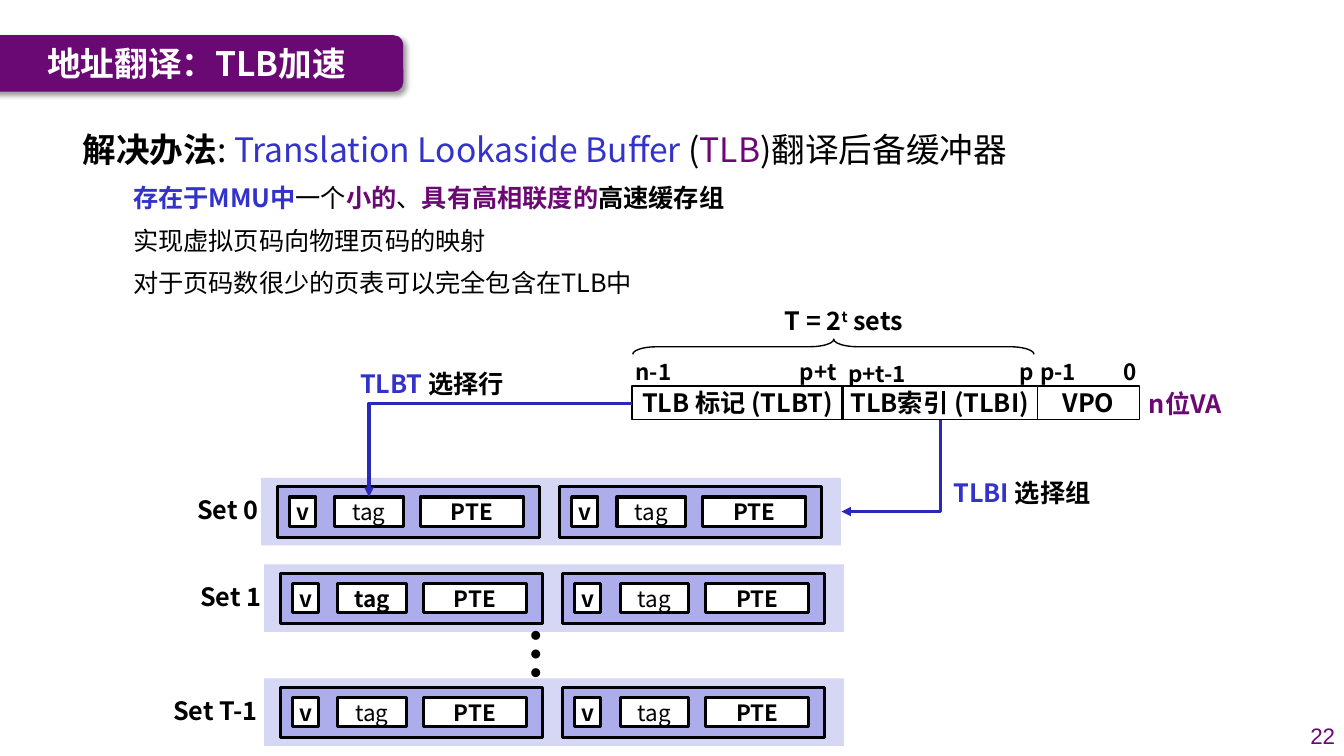
"""Build the slide on address translation with a TLB."""
from lxml.etree import SubElement
from pptx import Presentation
from pptx.dml.color import RGBColor
from pptx.enum.shapes import MSO_CONNECTOR, MSO_SHAPE
from pptx.enum.text import MSO_ANCHOR, MSO_AUTO_SIZE, PP_ALIGN
from pptx.oxml.ns import qn
from pptx.util import Inches, Pt

FONT = "Noto Sans CJK SC"
BLACK, WHITE, BLUE, PURPLE = "000000", "FFFFFF", "3333CC", "6B0874"


def write(para, size, spans, font=FONT):
    """Add runs given as (text, colour, bold) to a paragraph."""
    for text, colour, bold in spans:
        span = para.add_run()
        span.text = text
        span.font.size = Pt(size)
        span.font.bold = bold
        span.font.name = font
        span.font.color.rgb = RGBColor.from_string(colour)
        SubElement(span.font._element, qn("a:ea"), typeface=font)


def add_box(place, spans=(), size=18, fill=None, line=None, kind=MSO_SHAPE.RECTANGLE,
            wrap=False, anchor=MSO_ANCHOR.MIDDLE):
    """Add a shape with centred text; a plain label has neither fill nor line."""
    place = [Inches(length) for length in place]
    if fill or line:
        box = page.shapes.add_shape(kind, *place)
        box.shadow.inherit = False
        box.fill.background()
        box.line.fill.background()
    else:
        box = page.shapes.add_textbox(*place)
    if fill:
        box.fill.solid()
        box.fill.fore_color.rgb = RGBColor.from_string(fill)
    if line:
        box.line.color.rgb = RGBColor.from_string(BLACK)
        box.line.width = Pt(line)
    if spans:
        box.text_frame.word_wrap = wrap
        box.text_frame.vertical_anchor = anchor
        box.text_frame.paragraphs[0].alignment = PP_ALIGN.CENTER
        write(box.text_frame.paragraphs[0], size, spans)
    return box


deck = Presentation()
deck.slide_width, deck.slide_height = Inches(13.33), Inches(7.5)
page = deck.slides.add_slide(deck.slide_layouts[1])

title = page.shapes.title
title.left, title.top, title.width, title.height = [Inches(n) for n in (0.37, 0.35, 3.57, 0.55)]
title.text_frame.auto_size = MSO_AUTO_SIZE.NONE
title.text_frame.vertical_anchor = MSO_ANCHOR.MIDDLE
title.text_frame.paragraphs[0].alignment = PP_ALIGN.LEFT
write(title.text_frame.paragraphs[0], 24, [("地址翻译：TLB加速", WHITE, True)])

banner = add_box((-0.2, 0.35, 4.2, 0.56), fill="6A0874", kind=MSO_SHAPE.ROUNDED_RECTANGLE)
effects = banner.element.spPr.find(qn("a:effectLst"))
shadow = SubElement(effects, qn("a:outerShdw"), blurRad=str(Pt(4)), dist=str(Pt(3)),
                    dir="2700000", algn="tl", rotWithShape="0")
shade = SubElement(shadow, qn("a:srgbClr"), val=BLACK)
SubElement(shade, qn("a:alpha"), val="40000")
title.element.addprevious(banner.element)

body = page.placeholders[1]
body.left, body.top, body.width, body.height = [Inches(n) for n in (0.72, 1.15, 11.77, 2.09)]
body.text_frame.auto_size = MSO_AUTO_SIZE.NONE
points = [
    [("解决办法", BLACK, True), (": ", BLACK, False),
     ("Translation Lookaside Buffer ", BLUE, False), ("(", BLACK, False),
     ("TLB", PURPLE, False), (")翻译后备缓冲器", BLACK, False)],
    [("存在于MMU中", BLUE, True), ("一个", BLACK, False), ("小的", PURPLE, True),
     ("、", BLACK, False), ("具有高相联度的", PURPLE, True), ("高速缓存组", BLACK, True)],
    [("实现虚拟页码向物理页码的映射", BLACK, False)],
    [("对于页码数很少的页表可以完全包含在TLB中", BLACK, False)],
]
for level, spans in enumerate(points):
    para = body.text_frame.add_paragraph() if level else body.text_frame.paragraphs[0]
    properties = para._p.get_or_add_pPr()
    properties.set("marL", str(Inches(0.5 if level else 0)))
    properties.set("indent", "0")
    SubElement(properties, qn("a:buNone"))
    para.level = 1 if level else 0
    para.line_spacing = 1.2
    para.space_before = Pt(4.7 if level else 0)
    write(para, 18 if level else 24, spans)

fields = [(6.27, 2.09, "TLB 标记 (TLBT)", WHITE), (8.35, 1.94, "TLB索引 (TLBI)", None),
          (10.29, 1.01, "VPO", None)]
for left, width, name, fill in fields:
    add_box((left, 3.83, width, 0.33), [(name, BLACK, True)], fill=fill, line=1)

bits = [(6.19, 3.5, 0.58, "n-1"), (7.81, 3.5, 0.61, "p+t"), (8.28, 3.52, 0.84, "p+t-1"),
        (10.01, 3.5, 0.35, "p"), (10.2, 3.5, 0.59, "p-1"), (11.04, 3.5, 0.34, "0")]
for left, top, width, name in bits:
    add_box((left, top, width, 0.37), [(name, BLACK, True)], 16)

brace = add_box((8.19, 1.45, 0.15, 3.98), line=1, kind=MSO_SHAPE.LEFT_BRACE)
brace.rotation = 90
brace.adjustments[0], brace.adjustments[1] = 1.595, 0.499

sets = [("Set 0", 2.59, 4.74, 1.84, 0.84, False), ("Set 1", 2.62, 5.6, 1.87, 0.84, True),
        ("Set T-1", 2.62, 6.73, 1.58, 1.11, False)]
for name, left, top, label_left, label_width, bold_tag in sets:
    add_box((left, top, 5.75, 0.67), fill="D6D6F5")
    for way in range(2):
        start = left + 0.16 + 2.8 * way
        add_box((start, top + 0.09, 2.6, 0.5), fill="ADADEB", line=2.25)
        cells = [("v", 0.12, 0.26, True), ("tag", 0.57, 0.68, bold_tag and way == 0),
                 ("PTE", 1.42, 1.02, True)]
        for text, offset, width, bold in cells:
            add_box((start + offset, top + 0.19, width, 0.29), [(text, BLACK, bold)], 16,
                    fill=WHITE, line=2.25)
    add_box((label_left, top + 0.12, label_width, 0.4), [(name, BLACK, True)],
            anchor=MSO_ANCHOR.TOP)

dots = add_box((4.94, 6.11, 0.74, 0.77), [("…", BLACK, True)], 40, anchor=MSO_ANCHOR.TOP)
dots.rotation = 270

labels = [
    ((7.35, 2.98, 2.04, 0.4), [("T = 2", BLACK, True), ("t", BLACK, True), (" sets", BLACK, True)]),
    ((9.34, 4.69, 1.59, 0.4), [("TLBI ", BLUE, True), ("选择组", BLACK, True)]),
    ((2.16, 3.61, 4.25, 0.4), [("TLBT ", BLUE, True), ("选择行", BLACK, True)]),
    ((11.27, 3.8, 0.97, 0.4), [("n位VA", PURPLE, True)]),
]
for place, spans in labels:
    label = add_box(place, spans, wrap=True, anchor=MSO_ANCHOR.TOP)
    for span in label.text_frame.paragraphs[0].runs:
        if span.text == "t":
            span.font._element.set("baseline", "30000")

arrows = [((6.27, 4, 3.66, 4.93), 0), ((8.38, 4.13, 9.29, 5.11), 90)]
for ends, turn in arrows:
    arrow = page.shapes.add_connector(MSO_CONNECTOR.ELBOW, *[Inches(n) for n in ends])
    arrow.line.color.rgb = RGBColor.from_string("2929B8")
    arrow.line.width = Pt(2.25)
    SubElement(arrow.line._get_or_add_ln(), qn("a:tailEnd"), type="triangle")
    shape_properties = arrow.element.spPr
    shape_properties.find(qn("a:prstGeom")).set("prst", "bentConnector2")
    shape_properties.find(qn("a:xfrm")).set("rot", str(turn * 60000))
    SubElement(shape_properties, qn("a:effectLst"))

number = page.shapes.add_textbox(Inches(12.79), Inches(7.1), Inches(0.55), Inches(0.4))
number.text_frame.word_wrap = True
number.text_frame.vertical_anchor = MSO_ANCHOR.MIDDLE
number.text_frame.paragraphs[0].alignment = PP_ALIGN.RIGHT
write(number.text_frame.paragraphs[0], 16, [("22", "6A0874", False)], "Arial")

deck.save("out.pptx")
